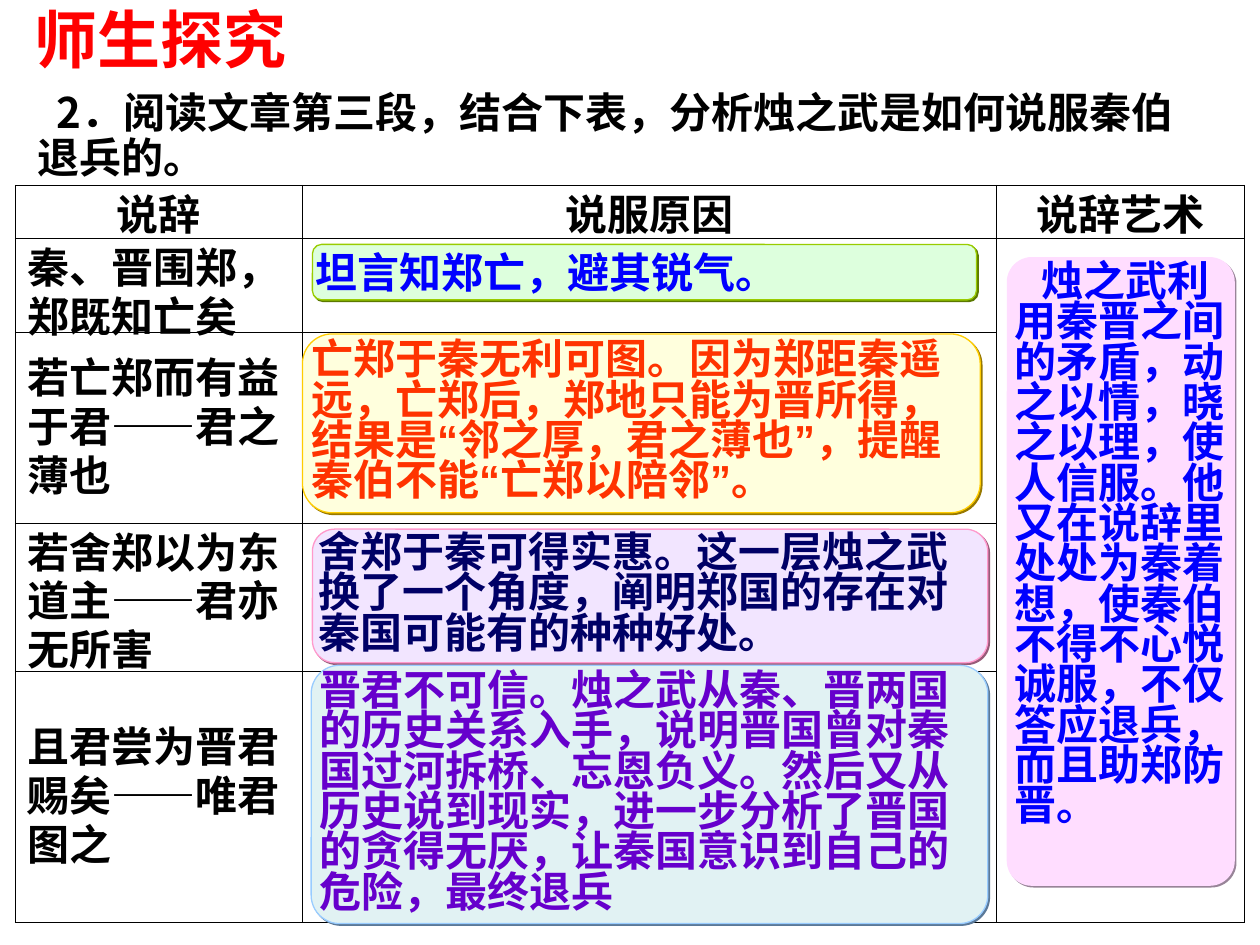
from dataclasses import dataclass

from pptx import Presentation
from pptx.dml.color import RGBColor
from pptx.enum.shapes import MSO_SHAPE
from pptx.enum.text import MSO_ANCHOR as Anchor, PP_ALIGN as Align
from pptx.oxml import parse_xml
from pptx.oxml.ns import nsdecls, qn
from pptx.util import Inches, Pt


@dataclass(frozen=True)
class Theme:
    latin: str = "Arial"
    table_latin: str = "Times New Roman"
    chinese: str = "Noto Sans CJK SC"
    title_size: int = 36
    body_size: int = 24
    title: str = "FF0000"
    ink: str = "000000"
    text_shadow: str = "808080"
    blue: str = "0000FF"
    orange: str = "FF3300"
    navy: str = "000066"
    purple: str = "6600CC"
    tight: float = 0.8


def shadow_xml(color, distance):
    return parse_xml(
        f'<a:effectLst {nsdecls("a")}><a:outerShdw dist="{Pt(distance)}" dir="2700000" '
        f'algn="ctr" rotWithShape="0"><a:srgbClr val="{color}"/></a:outerShdw></a:effectLst>')


class SlideBuilder:
    def __init__(self, presentation, theme):
        self.theme = theme
        self.slide = presentation.slides.add_slide(presentation.slide_layouts[5])

    def format_text(self, text_frame, text, color, size=None, latin=None, chinese=None,
                    spacing=1.0, align=Align.LEFT, indent=0, shadow=False):
        text_frame.text = text
        paragraph = text_frame.paragraphs[0]
        paragraph.alignment = align
        paragraph.line_spacing = spacing
        paragraph.space_before = Pt(0)
        if indent:
            paragraph._p.get_or_add_pPr().set("indent", str(Inches(indent)))
        for run in paragraph.runs:
            font = run.font
            font.size = Pt(size or self.theme.body_size)
            font.bold = True
            font.color.rgb = RGBColor.from_string(color)
            font.name = latin or self.theme.latin
            properties = run._r.get_or_add_rPr()
            east_asian = parse_xml(
                f'<a:ea {nsdecls("a")} typeface="{chinese or self.theme.latin}"/>')
            properties.find(qn("a:latin")).addnext(east_asian)
            if shadow:
                fill = properties.find(qn("a:solidFill"))
                fill.addnext(shadow_xml(self.theme.text_shadow, 1.4))

    def set_frame(self, text_frame, anchor, horizontal=0, vertical=0):
        text_frame.word_wrap = True
        text_frame.vertical_anchor = anchor
        text_frame.margin_left = text_frame.margin_right = Inches(horizontal)
        text_frame.margin_top = text_frame.margin_bottom = Inches(vertical)

    def title(self, text, left, top, width, height):
        shape = self.slide.shapes.title
        shape.left, shape.top = Inches(left), Inches(top)
        shape.width, shape.height = Inches(width), Inches(height)
        self.set_frame(shape.text_frame, Anchor.TOP)
        self.format_text(shape.text_frame, text, self.theme.title,
                         size=self.theme.title_size, shadow=True)

    def question(self, text, left, top, width, height):
        shape = self.slide.shapes.add_textbox(
            Inches(left), Inches(top), Inches(width), Inches(height))
        self.set_frame(shape.text_frame, Anchor.MIDDLE, 0.1, 0.05)
        self.format_text(shape.text_frame, text, self.theme.ink, latin=self.theme.chinese,
                         spacing=0.9, indent=0.15, shadow=True)

    def cell_borders(self, cell):
        properties = cell._tc.get_or_add_tcPr()
        for position, side in enumerate(("lnL", "lnR", "lnT", "lnB")):
            properties.insert(position, parse_xml(
                f'<a:{side} {nsdecls("a")} w="{Pt(0.45)}"><a:solidFill>'
                f'<a:srgbClr val="{self.theme.ink}"/></a:solidFill></a:{side}>'))

    def table(self, headers, speeches, left, top, widths, heights):
        frame = self.slide.shapes.add_table(
            len(heights), len(widths), Inches(left), Inches(top),
            Inches(sum(widths)), Inches(sum(heights)))
        table = frame.table
        table.first_row = table.horz_banding = False
        for column, width in zip(table.columns, widths):
            column.width = Inches(width)
        for row, height in zip(table.rows, heights):
            row.height = Inches(height)
        for cell in table.iter_cells():
            cell.fill.background()
            self.cell_borders(cell)
        table.cell(1, 2).merge(table.cell(len(heights) - 1, 2))
        for column, text in enumerate(headers):
            self.cell_text(table.cell(0, column), text, Anchor.TOP, Align.CENTER)
        for row, text in enumerate(speeches, start=1):
            self.cell_text(table.cell(row, 0), text, Anchor.MIDDLE, Align.LEFT)

    def cell_text(self, cell, text, anchor, align):
        cell.vertical_anchor = anchor
        cell.margin_left = cell.margin_right = Inches(0.1)
        cell.margin_top = cell.margin_bottom = Inches(0.05)
        self.format_text(cell.text_frame, text, self.theme.ink, latin=self.theme.table_latin,
                         chinese=self.theme.chinese, spacing=self.theme.tight, align=align)

    def answer(self, text, box, color, fill, line, shadow, corner=0.167,
               spacing=Theme.tight, anchor=Anchor.MIDDLE, indent=0):
        shape = self.slide.shapes.add_shape(
            MSO_SHAPE.ROUNDED_RECTANGLE, *(Inches(length) for length in box))
        shape.adjustments[0] = corner
        shape.fill.solid()
        shape.fill.fore_color.rgb = RGBColor.from_string(fill)
        if line:
            shape.line.color.rgb = RGBColor.from_string(line)
            shape.line.width = Pt(0.75)
        else:
            shape.line.fill.background()
        shape._element.spPr.append(shadow_xml(shadow, 1.4))
        self.set_frame(shape.text_frame, anchor)
        self.format_text(shape.text_frame, text, color, spacing=spacing, indent=indent)


def main():
    theme = Theme()
    presentation = Presentation()
    presentation.slide_width, presentation.slide_height = Inches(10), Inches(7.5)
    builder = SlideBuilder(presentation, theme)

    builder.title("师生探究", 0.27, 0, 3.35, 0.6)
    builder.question("2．阅读文章第三段，结合下表，分析烛之武是如何说服秦伯退兵的。",
                     0.2, 0.68, 9.53, 0.82)
    builder.table(
        ("说辞", "说服原因", "说辞艺术"),
        ("秦、晋围郑，郑既知亡矣", "若亡郑而有益于君——君之薄也",
         "若舍郑以为东道主——君亦无所害", "且君尝为晋君赐矣——唯君图之"),
        0.12, 1.47, (2.28, 5.51, 1.97), (0.42, 0.75, 1.51, 1.18, 1.99))

    builder.answer("坦言知郑亡，避其锐气。", (2.48, 1.94, 5.27, 0.44),
                   theme.blue, "DDFFDD", "99CC00", "5B7900", spacing=1.0)
    builder.answer("亡郑于秦无利可图。因为郑距秦遥远，亡郑后，郑地只能为晋所得，"
                   "结果是“邻之厚，君之薄也”，提醒秦伯不能“亡郑以陪邻”。",
                   (2.4, 2.65, 5.38, 1.42), theme.orange, "FFFFDD", "FFCC00", "987900")
    builder.answer("舍郑于秦可得实惠。这一层烛之武换了一个角度，"
                   "阐明郑国的存在对秦国可能有的种种好处。",
                   (2.48, 4.2, 5.36, 1.06), theme.navy, "F2E5FF", "FF99CC", "985B79")
    builder.answer("晋君不可信。烛之武从秦、晋两国的历史关系入手，说明晋国曾对秦国过河拆桥、"
                   "忘恩负义。然后又从历史说到现实，进一步分析了晋国的贪得无厌，"
                   "让秦国意识到自己的危险，最终退兵",
                   (2.47, 5.28, 5.37, 2.05), theme.purple, "E1F2F3", "99CCFF", "5B7998",
                   corner=0.11)
    builder.answer("烛之武利用秦晋之间的矛盾，动之以情，晓之以理，使人信服。他又在说辞里处处为秦着想，"
                   "使秦伯不得不心悦诚服，不仅答应退兵，而且助郑防晋。",
                   (7.99, 2.04, 1.81, 4.99), theme.blue, "FFDDFF", None, "988498",
                   corner=0.11, anchor=Anchor.TOP, indent=0.22)
    presentation.save("out.pptx")


if __name__ == "__main__":
    main()
